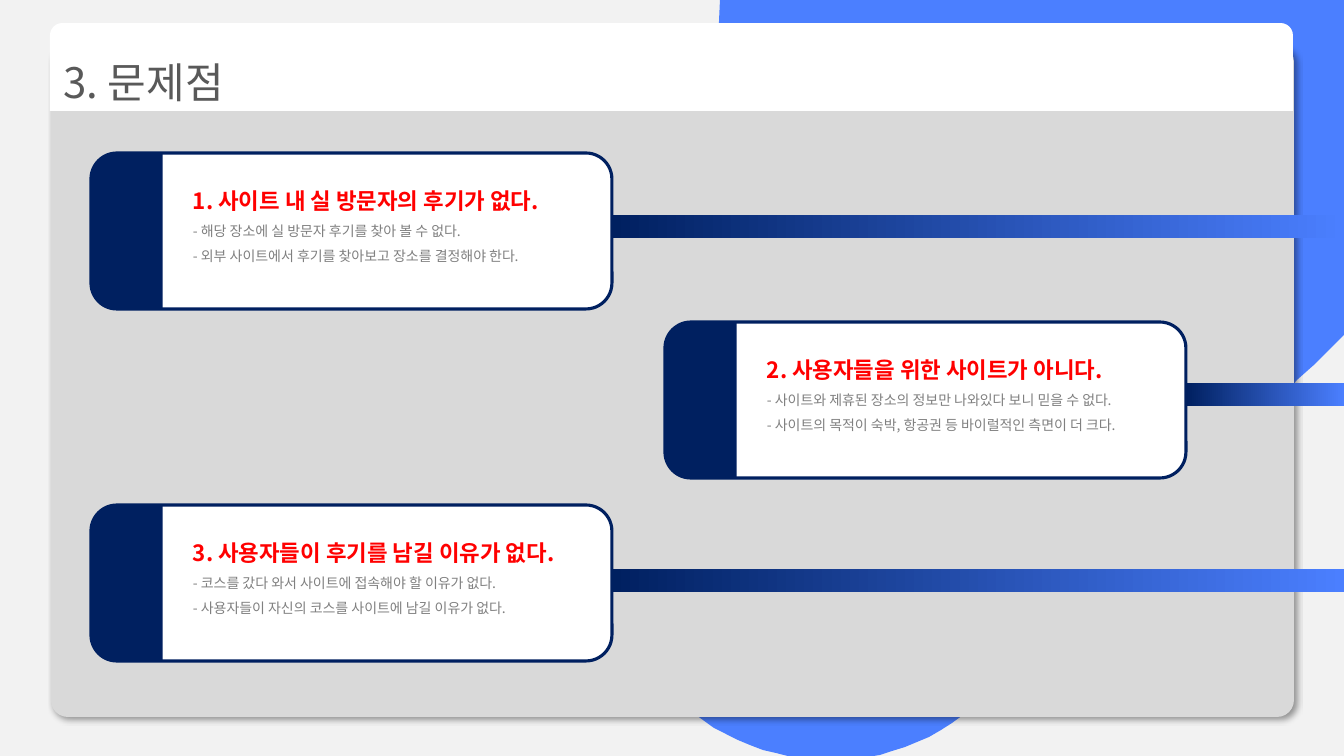
import lxml.etree
import pptx
import pptx.dml.color
import pptx.enum.shapes
import pptx.enum.text
import pptx.oxml.ns
import pptx.util

PIXEL = 914400 / 100.8
WIDTH, HEIGHT = 1344, 756
FONT = "Noto Sans CJK KR"
NAVY, BLUE, WHITE = "002060", "4B7FFF", "FFFFFF"
CARD_WIDTH, CARD_HEIGHT = 521, 156
TAB_LENGTH, TAB_DEPTH = 155, 70
BAR_HEIGHT = 23
KINDS = pptx.enum.shapes.MSO_SHAPE
HEADING = {"size": pptx.util.Pt(16), "bold": True, "name": FONT}
DETAIL = {"size": pptx.util.Pt(10), "bold": False, "name": FONT}
TITLE = {"size": pptx.util.Pt(30), "name": FONT}

BACKDROP = [
    [(1344, 0)], [(1344, 335)], [(1315, 364)], [(1297, 380)], [(1292, 386)],
    [(1288, 392), (1283, 397), (1277, 403)], [(984, 697)],
    [(905, 776), (778, 781), (692, 712)], [(675, 697)], [(660, 680)],
    [(591, 595), (596, 468), (675, 388)], [(828, 237)], [(793, 203)],
    [(744, 152), (719, 87), (719, 22)], [(720, 0)],
]

CARDS = [
    (91, 153, 395, 215, [
        "1. 사이트 내 실 방문자의 후기가 없다.",
        "- 해당 장소에 실 방문자 후기를 찾아 볼 수 없다.",
        "- 외부 사이트에서 후기를 찾아보고 장소를 결정해야 한다."]),
    (665, 322, 404, 383, [
        "2. 사용자들을 위한 사이트가 아니다.",
        "- 사이트와 제휴된 장소의 정보만 나와있다 보니 믿을 수 없다.",
        "- 사이트의 목적이 숙박, 항공권 등 바이럴적인 측면이 더 크다."]),
    (91, 505, 409, 569, [
        "3. 사용자들이 후기를 남길 이유가 없다.",
        "- 코스를 갔다 와서 사이트에 접속해야 할 이유가 없다.",
        "- 사용자들이 자신의 코스를 사이트에 남길 이유가 없다."]),
]


def emu(*pixels):
    return [round(value * PIXEL) for value in pixels]


def color(value):
    return pptx.dml.color.RGBColor.from_string(value)


def paint(shape, fill, line=None, weight=1):
    shape.shadow.inherit = False
    shape.fill.solid()
    shape.fill.fore_color.rgb = color(fill)
    if line:
        shape.line.color.rgb = color(line)
        shape.line.width = pptx.util.Pt(weight)
    else:
        shape.line.fill.background()


def add_block(shapes, kind, bounds, fill, line=None, weight=1, adjustments=()):
    shape = shapes.add_shape(kind, *emu(*bounds))
    paint(shape, fill, line, weight)
    for index, value in enumerate(adjustments):
        shape.adjustments[index] = value
    return shape


def write_line(para, text, style, ink):
    para.alignment = pptx.enum.text.PP_ALIGN.LEFT
    para.line_spacing = 1.5
    span = para.add_run()
    span.text = text
    for name, value in style.items():
        setattr(span.font, name, value)
    span.font.color.rgb = color(ink)
    east_asian = lxml.etree.SubElement(
        span.font._element, pptx.oxml.ns.qn("a:ea"))
    east_asian.set("typeface", FONT)


def curve_points(start, first, second, end, steps=24):
    for step in range(1, steps + 1):
        t = step / steps
        u = 1 - t
        weights = (u ** 3, 3 * u * u * t, 3 * u * t * t, t ** 3)
        corners = (start, first, second, end)
        yield tuple(sum(w * corner[axis] for w, corner in zip(weights, corners))
                    for axis in (0, 1))


def add_backdrop(page):
    points = list(BACKDROP[0])
    for segment in BACKDROP[1:]:
        if len(segment) == 3:
            points.extend(curve_points(points[-1], *segment))
        else:
            points.extend(segment)
    builder = page.shapes.build_freeform(*points[0], scale=PIXEL)
    builder.add_line_segments(points[1:], close=True)
    paint(builder.convert_to_shape(), BLUE)


def cast_shadow(shape):
    qn = pptx.oxml.ns.qn
    effects = shape._element.spPr.find(qn("a:effectLst"))
    shadow = lxml.etree.SubElement(effects, qn("a:outerShdw"), {
        "blurRad": str(pptx.util.Pt(4)), "dist": str(pptx.util.Pt(3)),
        "dir": str(45 * 60000), "algn": "tl", "rotWithShape": "0"})
    ink = lxml.etree.SubElement(shadow, qn("a:srgbClr"), val="000000")
    lxml.etree.SubElement(ink, qn("a:alpha"), val="40000")


def add_panel(page):
    panel = add_block(page.shapes, KINDS.ROUNDED_RECTANGLE,
                      (51, 45, 1243, 672), "D9D9D9", adjustments=[0.025])
    cast_shadow(panel)
    header = add_block(page.shapes, KINDS.ROUND_2_SAME_RECTANGLE,
                       (50, 23, 1243, 88), WHITE, adjustments=[0.14, 0])
    header.text_frame.vertical_anchor = pptx.enum.text.MSO_ANCHOR.MIDDLE
    write_line(header.text_frame.paragraphs[0], "3. 문제점", TITLE, "595959")


def add_card(page, left, top):
    group = page.shapes.add_group_shape()
    add_block(group.shapes, KINDS.ROUNDED_RECTANGLE,
              (left, top, CARD_WIDTH, CARD_HEIGHT), WHITE, NAVY, 2.25)
    inset = (TAB_LENGTH - TAB_DEPTH) / 2
    tab = add_block(group.shapes, KINDS.ROUND_2_SAME_RECTANGLE,
                    (left + 1 - inset, top + 1 + inset, TAB_LENGTH, TAB_DEPTH),
                    NAVY, NAVY, 1, [0.33, 0])
    tab.rotation = 270


def add_message(page, left, top, width, lines):
    box = page.shapes.add_textbox(*emu(left, top, width, 102))
    frame = box.text_frame
    frame.word_wrap = True
    frame.auto_size = pptx.enum.text.MSO_AUTO_SIZE.SHAPE_TO_FIT_TEXT
    write_line(frame.paragraphs[0], lines[0], HEADING, "FF0000")
    for text in lines[1:]:
        write_line(frame.add_paragraph(), text, DETAIL, "808080")


def add_bar(page, left, top):
    bar = add_block(page.shapes, KINDS.RECTANGLE,
                    (left, top, WIDTH - left, BAR_HEIGHT), NAVY)
    bar.fill.gradient()
    bar.fill.gradient_angle = 0
    for stop, position, ink in zip(bar.fill.gradient_stops, (0, 1), (NAVY, BLUE)):
        stop.position = position
        stop.color.rgb = color(ink)


def main():
    deck = pptx.Presentation()
    deck.slide_width, deck.slide_height = emu(WIDTH, HEIGHT)
    page = deck.slides.add_slide(deck.slide_layouts[6])
    page.background.fill.solid()
    page.background.fill.fore_color.rgb = color("F2F2F2")
    add_backdrop(page)
    add_panel(page)
    for left, top, text_width, bar_top, lines in CARDS:
        add_card(page, left, top)
        add_message(page, left + 92, top + 16, text_width, lines)
        add_bar(page, left + CARD_WIDTH, bar_top)
    deck.save("out.pptx")


main()
